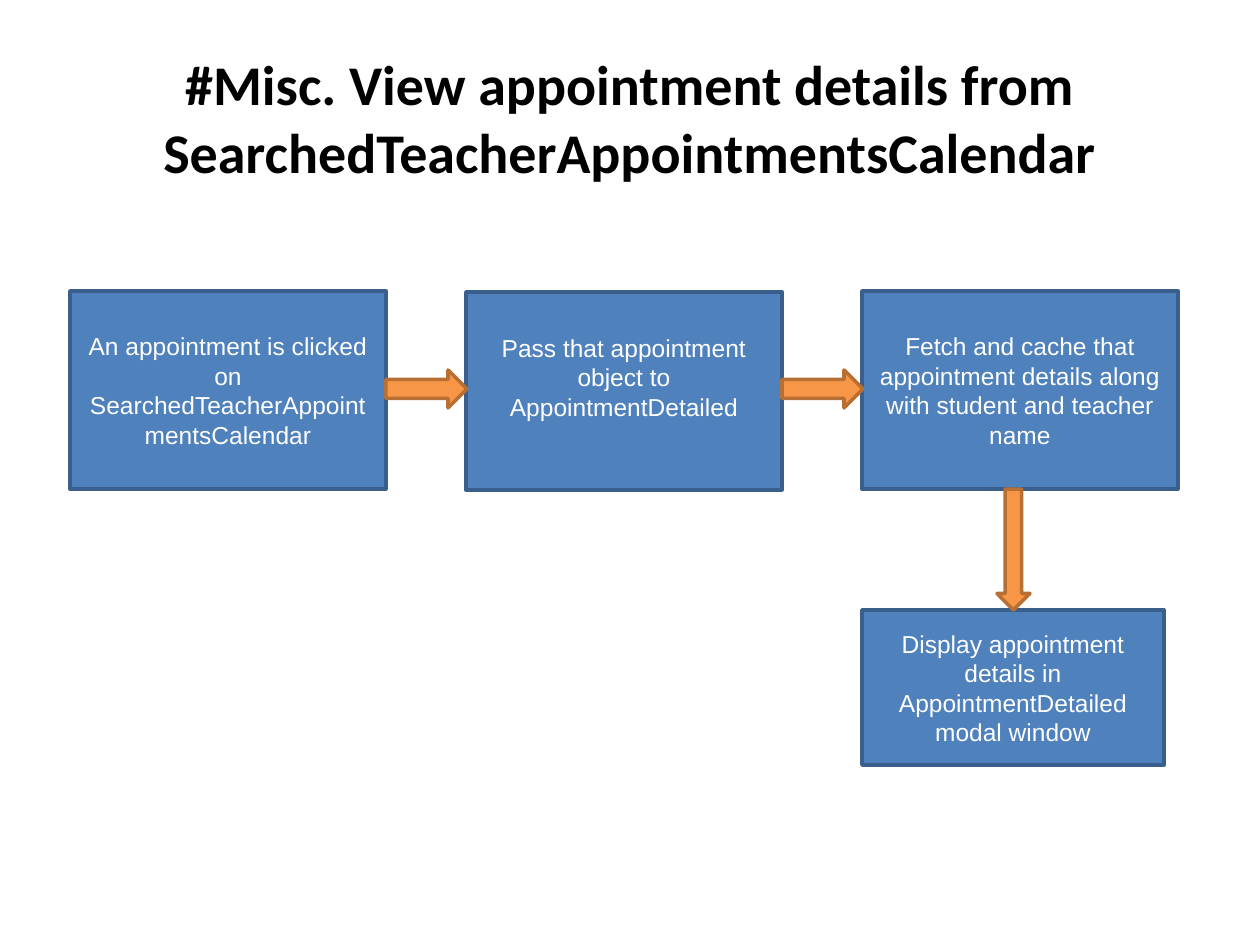
"""Build the flow slide that shows how appointment details are viewed."""
from pptx import Presentation
from pptx.dml.color import RGBColor
from pptx.enum.shapes import MSO_SHAPE as Form
from pptx.enum.text import MSO_ANCHOR as Anchor, PP_ALIGN as Align
from pptx.util import Emu, Pt

BLACK = RGBColor(0x00, 0x00, 0x00)
WHITE = RGBColor(0xFF, 0xFF, 0xFF)
BLUE = RGBColor(0x4F, 0x81, 0xBD)
NAVY = RGBColor(0x3A, 0x5F, 0x8C)
ORANGE = RGBColor(0xF7, 0x96, 0x46)
BROWN = RGBColor(0xB7, 0x6F, 0x34)

SCALE = 914400 / 126
STEP = 396


def px(*sizes):
    return [Emu(round(size * SCALE)) for size in sizes]


def write(shape, text, color, style):
    frame = shape.text_frame
    frame.word_wrap = True
    frame.vertical_anchor = Anchor.MIDDLE
    line = frame.paragraphs[0]
    line.alignment = Align.CENTER
    run = line.add_run()
    run.text = text
    run.font.color.rgb = color
    for name, value in style.items():
        setattr(run.font, name, value)


deck = Presentation()
deck.slide_width, deck.slide_height = px(1260, 945)
slide = deck.slides.add_slide(deck.slide_layouts[6])
shapes = slide.shapes

title = shapes.add_textbox(*px(63, 38, 1134, 158))
write(title, "#Misc. View appointment details from SearchedTeacherAppointmentsCalendar",
      BLACK, {"name": "Calibri", "size": Pt(32), "bold": True})

steps = [
    (70, 291, 316, 198, 6, "An appointment is clicked on SearchedTeacherAppointmentsCalendar"),
    (70 + STEP, 292, 316, 198, 34, "Pass that appointment object to AppointmentDetailed"),
    (70 + 2 * STEP, 291, 316, 198, 6,
     "Fetch and cache that appointment details along with student and teacher name"),
    (70 + 2 * STEP, 610, 302, 155, 6,
     "Display appointment details in AppointmentDetailed modal window"),
]
arrows = [
    (Form.RIGHT_ARROW, 386, 370, 81, 38),
    (Form.RIGHT_ARROW, 386 + STEP, 370, 81, 38),
    (Form.DOWN_ARROW, 997, 489, 33, 121),
]
parts = [(Form.RECTANGLE, area, BLUE, NAVY, pad, text) for *area, pad, text in steps]
parts += [(form, area, ORANGE, BROWN, 6, "") for form, *area in arrows]

for form, area, fill, edge, pad, text in parts:
    shape = shapes.add_shape(form, *px(*area))
    shape.shadow.inherit = False
    shape.fill.solid()
    shape.fill.fore_color.rgb = fill
    shape.line.color.rgb = edge
    shape.line.width = Pt(2)
    if text:
        shape.text_frame.margin_bottom = px(pad)[0]
        write(shape, text, WHITE, {"name": "Arial", "size": Pt(14)})

deck.save("out.pptx")
